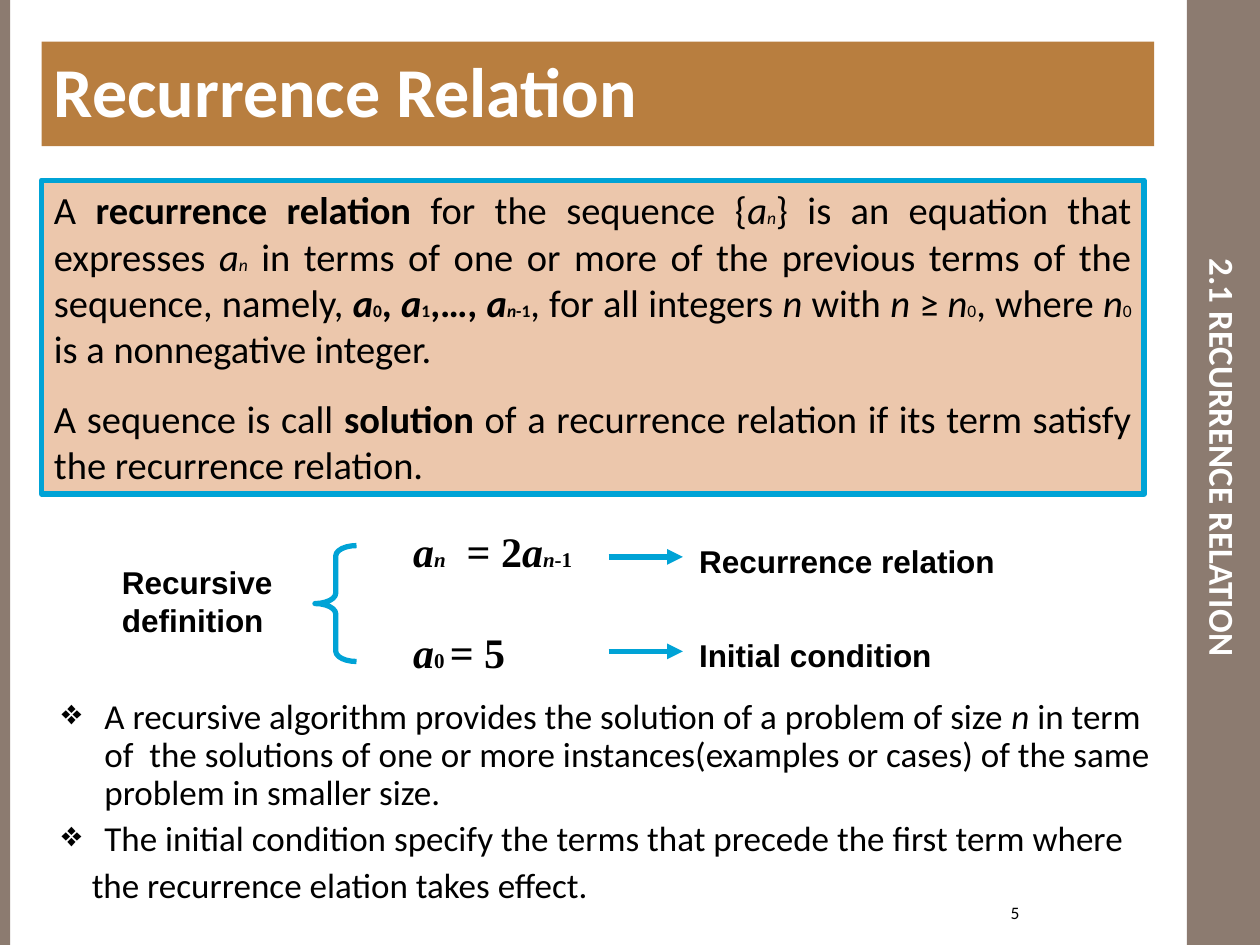
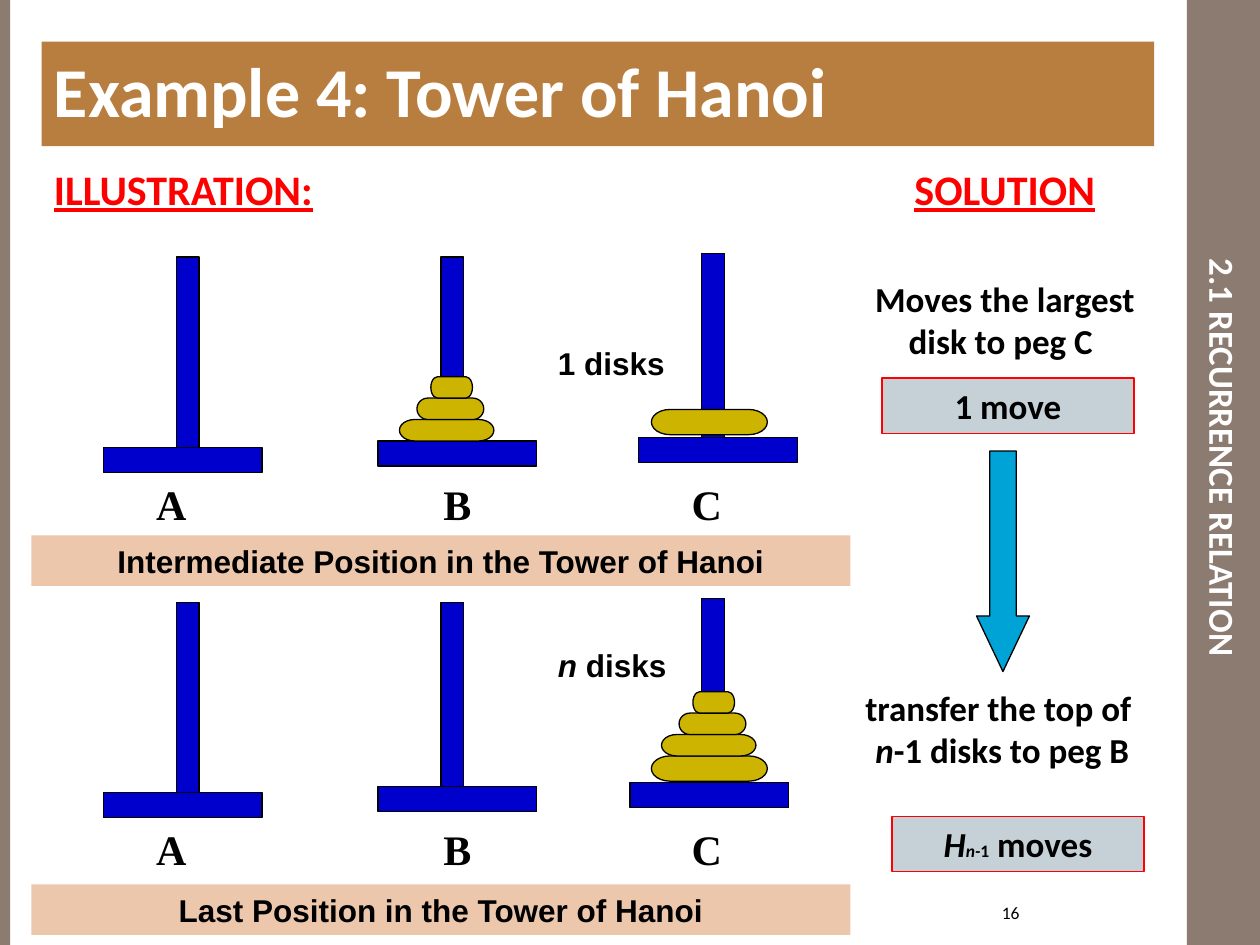
import lxml.etree
import pptx
import pptx.dml.color
import pptx.enum.shapes
import pptx.enum.text
import pptx.oxml.ns
import pptx.util

Inches, Pt = pptx.util.Inches, pptx.util.Pt
qn = pptx.oxml.ns.qn
SHAPE = pptx.enum.shapes.MSO_SHAPE
ALIGN = pptx.enum.text.PP_ALIGN
ANCHOR = pptx.enum.text.MSO_ANCHOR

BLACK, WHITE, RED = "000000", "FFFFFF", "FF0000"
TAUPE, BRONZE, PEACH, SKY = "8C7B70", "B87E3F", "ECC7AC", "00A3D6"
PEG_BLUE, DISK_GOLD, PALE_GREY = "0000CC", "CCB400", "C5D1D7"
BODY, LABEL, MATH = "Calibri", "Arial", "Times New Roman"
THIN = 0.75

# Disks from largest to smallest: width, height, offset from the largest one's left
DISKS = [(0.92, 0.2, 0), (0.75, 0.17, 0.08), (0.53, 0.17, 0.22), (0.33, 0.17, 0.33)]


def rgb(hex_string):
    """Turn a hex string into a colour."""
    return pptx.dml.color.RGBColor.from_string(hex_string)


def inches(box):
    """Convert a box of left, top, width, height to lengths."""
    return [Inches(length) for length in box]


def write(frame, paragraphs, size, font=BODY, color=BLACK, bold=False,
          align=ALIGN.LEFT, small=10):
    """Fill a frame; a paragraph is a string or a list of (text, style) runs.

    Style letters: b bold, i italic, u underlined, s small.
    """
    for index, runs in enumerate(paragraphs):
        paragraph = frame.add_paragraph() if index else frame.paragraphs[0]
        paragraph.alignment = align
        paragraph.font.name = font
        paragraph.font.size = Pt(size)
        paragraph.font.bold = bold
        paragraph.font.color.rgb = rgb(color)
        for text, style in [(runs, "")] if isinstance(runs, str) else runs:
            run = paragraph.add_run()
            run.text = text
            if "b" in style:
                run.font.bold = True
            if "i" in style:
                run.font.italic = True
            if "u" in style:
                run.font.underline = True
            if "s" in style:
                run.font.size = Pt(small)


def add_text(slide, box, paragraphs, size, wrap=True, **style):
    """Add a text box and return its frame."""
    frame = slide.shapes.add_textbox(*inches(box)).text_frame
    frame.word_wrap = wrap
    write(frame, paragraphs, size, **style)
    return frame


def add_block(slide, box, fill=None, line=None, width=THIN, preset=SHAPE.RECTANGLE):
    """Add a flat preset shape with top-anchored text."""
    block = slide.shapes.add_shape(preset, *inches(box))
    block.shadow.inherit = False
    if fill:
        block.fill.solid()
        block.fill.fore_color.rgb = rgb(fill)
    else:
        block.fill.background()
    if line:
        block.line.color.rgb = rgb(line)
        block.line.width = Pt(width)
    else:
        block.line.fill.background()
    block.text_frame.word_wrap = True
    block.text_frame.vertical_anchor = ANCHOR.TOP
    return block


def add_property(paragraph, tag, **attributes):
    """Add a paragraph property ahead of the paragraph's font."""
    properties = paragraph._p.get_or_add_pPr()
    element = lxml.etree.Element(qn(tag), **attributes)
    properties.find(qn("a:defRPr")).addprevious(element)
    return element


def set_indent(paragraph, left, first=0):
    """Set the left margin and the first-line indent."""
    properties = paragraph._p.get_or_add_pPr()
    properties.set("marL", str(Inches(left)))
    properties.set("indent", str(Inches(first)))


def add_arrow(slide, left, top, length):
    """Add a horizontal arrow pointing right."""
    arrow = slide.shapes.add_connector(
        pptx.enum.shapes.MSO_CONNECTOR.STRAIGHT,
        *inches((left, top, left + length, top)))
    arrow.line.color.rgb = rgb(SKY)
    arrow.line.width = Pt(3)
    lxml.etree.SubElement(arrow.line._get_or_add_ln(), qn("a:tailEnd"), type="triangle")
    lxml.etree.SubElement(arrow._element.spPr, qn("a:effectLst"))


def add_side_bands(slide):
    """Draw the two side bands and move them to the slide's layout."""
    tree = slide.slide_layout.element.cSld.spTree
    for box in ((0, 0, 0.08, 7.5), (9.42, 0, 0.58, 7.5)):
        tree.insert(2, add_block(slide, box, TAUPE).element)


def add_slide(deck, heading, number):
    """Add a slide with its vertical chapter title, heading and number."""
    slide = deck.slides.add_slide(deck.slide_layouts[5])
    chapter = slide.shapes.title
    chapter.left, chapter.top, chapter.width, chapter.height = inches(
        (9.42, 0.42, 0.58, 6.42))
    frame = chapter.text_frame
    frame.margin_left = frame.margin_right = Inches(0.05)
    frame.margin_top = frame.margin_bottom = Inches(0.1)
    frame.vertical_anchor = ANCHOR.MIDDLE
    frame._txBody.bodyPr.set("vert", "eaVert")
    frame._txBody.bodyPr.set("anchorCtr", "1")
    write(frame, ["2.1 RECURRENCE RELATION"], 20, color=WHITE, bold=True,
          align=ALIGN.CENTER)
    banner = add_block(slide, (0.33, 0.33, 8.83, 0.83), BRONZE)
    write(banner.text_frame, [heading], 40, color=WHITE, bold=True)
    footer = add_text(slide, (7.11, 7.08, 1.08, 0.33), [number], 10, align=ALIGN.RIGHT)
    footer.vertical_anchor = ANCHOR.MIDDLE
    return slide


def add_definition(slide, box):
    """Add the framed definition of a recurrence relation."""
    panel = add_block(slide, box, PEACH, SKY, 3)
    relation = [
        ("A ", ""), ("recurrence relation", "b"), (" for the sequence {", ""),
        ("a", "i"), ("n", "is"), ("} is an equation that expresses ", ""),
        ("a", "i"), ("n", "is"),
        (" in terms of one or more of the previous terms of the sequence, namely, ", ""),
        ("a", "bi"), ("0", "bs"), (", ", "b"), ("a", "bi"), ("1", "bs"),
        (",…, ", "b"), ("a", "bi"), ("n", "bis"), ("-1", "bs"),
        (", for all integers ", ""), ("n", "i"), (" with ", ""), ("n", "i"),
        (" ≥ ", ""), ("n", "i"), ("0", "s"), (", where ", ""), ("n", "i"),
        ("0", "s"), (" is a nonnegative integer.", "")]
    solution = [
        ("A sequence is call ", ""), ("solution", "b"),
        (" of a recurrence relation if its term satisfy the recurrence relation.", "")]
    write(panel.text_frame, [relation, solution], 22, align=ALIGN.JUSTIFY)
    panel.text_frame.paragraphs[1].space_before = Pt(13.8)


def add_recursive_example(slide, left, top):
    """Add the braced pair of formulas with an arrow and a label for each."""
    add_text(slide, (left, top + 0.3, 1.6, 0.7), ["Recursive ", "definition"], 18,
             font=LABEL, bold=True)
    brace = add_block(slide, (left + 1.63, top + 0.21, 0.33, 0.92), None, SKY, 3,
                      SHAPE.LEFT_BRACE)
    brace.adjustments[0] = 0.25
    formulas = add_text(
        slide, (left + 2.31, top, 2.2, 1.3),
        [[("a", "i"), ("n", "is"), ("  = 2", ""), ("a", "i"), ("n", "is"), ("-1", "s")],
         [("a", "i"), ("0 ", "s"), ("= 5", "")]],
        24, font=MATH, bold=True, small=12)
    formulas.paragraphs[1].space_before = Pt(28.8)
    for row, label in enumerate(["Recurrence relation", "Initial condition"]):
        row_top = top + 0.13 + 0.75 * row
        add_arrow(slide, left + 3.96, row_top + 0.17, 0.59)
        add_text(slide, (left + 4.58, row_top, 2.7, 0.4), [label], 18,
                 font=LABEL, bold=True)


def add_remarks(slide, box):
    """Add the bulleted remarks and their closing line."""
    frame = add_text(slide, box, [
        [("A recursive algorithm provides the solution of a problem of size ", ""),
         ("n", "i"),
         (" in term of  the solutions of one or more instances(examples or cases)"
          " of the same problem in smaller size.", "")],
        "The initial condition specify the terms that precede the first term where ",
        "the recurrence elation takes effect."], 20)
    for paragraph in frame.paragraphs:
        paragraph.line_spacing = 0.9
        paragraph.space_before = Pt(5)
    for paragraph in frame.paragraphs[:2]:
        set_indent(paragraph, 0.48, -0.34)
        add_property(paragraph, "a:buChar", char="❖")
    set_indent(frame.paragraphs[2], 0.38)


def add_column_headings(slide, box):
    """Add the two underlined headings, the second at a tab stop."""
    frame = add_text(slide, box, [[("ILLUSTRATION:", "u"), ("\t", ""), ("SOLUTION", "u")]],
                     24, color=RED, bold=True)
    tabs = add_property(frame.paragraphs[0], "a:tabLst")
    lxml.etree.SubElement(tabs, qn("a:tab"), pos=str(Inches(6.83)), algn="l")


def add_disks(slide, left, bottom, disks):
    """Stack disks upwards from the given bottom."""
    for width, height, offset in disks:
        bottom -= height
        add_block(slide, (left + offset, bottom, width, height), DISK_GOLD, BLACK,
                  preset=SHAPE.FLOWCHART_TERMINATOR)


def add_pegs(slide, left, top, last_base):
    """Add pegs A, B and C: a rod on a base, with a letter below."""
    pegs = [("A", 0.58, 0, 0.03, 1.54, 0.32), ("B", 2.68, 2.18, 0.03, 1.49, 2.6),
            ("C", 4.75, last_base, 0, 1.46, 4.57)]
    for letter, rod, base, rod_top, base_top, letter_left in pegs:
        add_block(slide, (left + rod, top + rod_top, 0.18, 1.51), PEG_BLUE, BLACK)
        add_block(slide, (left + base, top + base_top, 1.26, 0.2), PEG_BLUE, BLACK)
        add_text(slide, (left + letter_left, top + 1.74, 0.44, 0.5), [letter], 24,
                 wrap=False, font=MATH, bold=True)


def add_position(slide, top, last_base, stacks, disk_label, label_top, caption, caption_top):
    """Add one position of the puzzle with its disks, label and caption."""
    add_pegs(slide, 0.82, top, last_base)
    for left, bottom, disks in stacks:
        add_disks(slide, left, bottom, disks)
    add_text(slide, (4.33, label_top, 1.42, 0.4), [disk_label], 18, font=LABEL, bold=True)
    band = add_block(slide, (0.25, caption_top, 6.5, 0.4), PEACH)
    write(band.text_frame, [caption], 18, font=LABEL, bold=True, align=ALIGN.CENTER)


def add_step(slide, text_box, lines, count_box, count):
    """Add a solution step: its description and its framed move count."""
    add_text(slide, text_box, lines, 20, wrap=False, bold=True, align=ALIGN.CENTER)
    frame = add_block(slide, count_box, PALE_GREY, RED).text_frame
    write(frame, [count], 20, bold=True, align=ALIGN.CENTER)


def build_relation_slide(deck):
    """Build the slide that defines recurrence relations."""
    slide = add_slide(deck, "Recurrence Relation", "5")
    add_side_bands(slide)
    add_definition(slide, (0.33, 1.43, 8.75, 2.49))
    add_recursive_example(slide, 0.87, 4.12)
    add_remarks(slide, (0.25, 5.5, 9.08, 1.75))


def build_hanoi_slide(deck):
    """Build the slide on the Tower of Hanoi."""
    slide = add_slide(deck, "Example 4: Tower of Hanoi", "16")
    add_column_headings(slide, (0.33, 1.25, 8.83, 0.5))
    add_position(slide, 2.01, 4.25, [(3.09, 3.5, DISKS[1:]), (5.17, 3.45, DISKS[:1])],
                 "1 disks", 2.68, "Intermediate Position in the Tower of Hanoi", 4.25)
    add_position(slide, 4.75, 4.18, [(5.17, 6.2, DISKS)],
                 [("n", "i"), (" disks", "")], 5.08,
                 "Last Position in the Tower of Hanoi", 7.02)
    add_step(slide, (6.84, 2.15, 2.27, 0.77), ["Moves the largest", "disk to peg C "],
             (7, 3, 2, 0.44), "1 move")
    arrow = add_block(slide, (7.75, 3.58, 0.42, 1.75), SKY, BLACK, preset=SHAPE.DOWN_ARROW)
    arrow.adjustments[1] = 1.05
    add_step(slide, (6.76, 5.4, 2.39, 0.77),
             ["transfer the top of ", [("n", "i"), ("-1 disks to peg B", "")]],
             (7.08, 6.48, 2, 0.44),
             [("H", "i"), ("n-", "is"), ("1", "s"), (" moves", "")])


deck = pptx.Presentation()
deck.slide_width, deck.slide_height = Inches(10), Inches(7.5)
build_relation_slide(deck)
build_hanoi_slide(deck)
deck.save("out.pptx")
